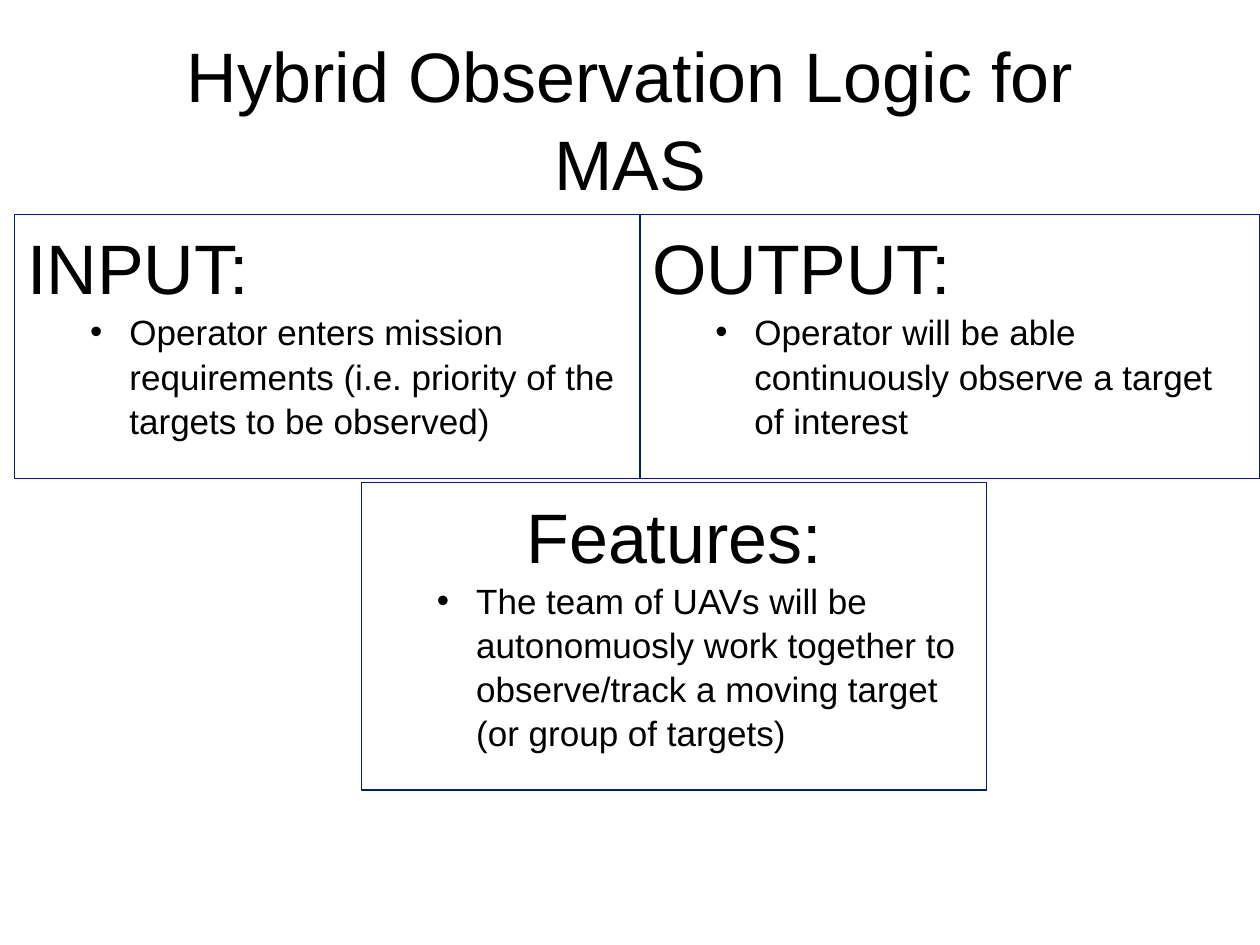
from dataclasses import dataclass

from pptx import Presentation
from pptx.dml.color import RGBColor
from pptx.enum.shapes import MSO_SHAPE as Shape
from pptx.enum.text import MSO_ANCHOR as Anchor, PP_ALIGN as Align
from pptx.oxml.ns import qn
from pptx.util import Cm, Pt
from lxml.etree import SubElement


@dataclass(frozen=True)
class Theme:
    font: str = "Arial"
    ink: RGBColor = RGBColor(0, 0, 0)
    paper: RGBColor = RGBColor(255, 255, 255)
    border: RGBColor = RGBColor(0x00, 0x20, 0x60)
    border_width: float = 0.75
    heading_size: int = 40
    body_size: int = 20
    line_spacing: float = 1.05


THEME = Theme()
LEFT_EDGE, MIDDLE, RIGHT_EDGE = 0.3, 12.9, 25.4
TOP_ROW, TOP_HEIGHT = 4.32, 5.33
PANELS = [
    ("INPUT:",
     "Operator enters mission requirements (i.e. priority of the targets to be observed)",
     Align.LEFT, (LEFT_EDGE, TOP_ROW, MIDDLE - LEFT_EDGE, TOP_HEIGHT)),
    ("OUTPUT:",
     "Operator will be able continuously observe a target of interest",
     Align.LEFT, (MIDDLE, TOP_ROW, RIGHT_EDGE - MIDDLE, TOP_HEIGHT)),
    ("Features:",
     "The team of UAVs will be autonomuosly work together to observe/track a moving target "
     "(or group of targets)",
     Align.CENTER, (7.29, 9.73, MIDDLE - LEFT_EDGE, 6.2)),
]


def place(shape, box):
    shape.left, shape.top, shape.width, shape.height = (Cm(length) for length in box)


def set_frame(frame, anchor):
    frame.word_wrap = True
    frame.vertical_anchor = anchor
    frame.margin_left = frame.margin_right = Cm(0.25)
    frame.margin_top = frame.margin_bottom = Cm(0.13)


def format_para(para, size, align):
    para.alignment = align
    para.line_spacing = THEME.line_spacing
    para.space_before = para.space_after = Pt(0)
    for span in para.runs:
        span.font.name = THEME.font
        span.font.size = Pt(size)
        span.font.color.rgb = THEME.ink


def set_indent(para, left, hanging):
    properties = para._p.get_or_add_pPr()
    properties.set("marL", str(Cm(left)))
    properties.set("indent", str(-Cm(hanging)))
    return properties


def add_bullet(para):
    para.level = 1
    properties = set_indent(para, 2.06, 0.79)
    SubElement(properties, qn("a:buFont"), typeface=THEME.font)
    SubElement(properties, qn("a:buChar"), char="•")


def fill_title(title, text, box):
    place(title, box)
    set_frame(title.text_frame, Anchor.MIDDLE)
    title.text_frame.text = text
    format_para(title.text_frame.paragraphs[0], THEME.heading_size, Align.CENTER)


def add_panel(page, heading, detail, align, box):
    panel = page.shapes.add_shape(Shape.RECTANGLE, *(Cm(length) for length in box))
    panel.shadow.inherit = False
    panel.fill.solid()
    panel.fill.fore_color.rgb = THEME.paper
    panel.line.color.rgb = THEME.border
    panel.line.width = Pt(THEME.border_width)

    frame = panel.text_frame
    set_frame(frame, Anchor.TOP)
    frame.text = f"{heading}\n{detail}"
    heading_para, detail_para = frame.paragraphs
    format_para(heading_para, THEME.heading_size, align)
    heading_para.space_before = Pt(2)
    set_indent(heading_para, 0.79, 0.79)
    format_para(detail_para, THEME.body_size, Align.LEFT)
    add_bullet(detail_para)


def main():
    deck = Presentation()
    deck.slide_width, deck.slide_height = Cm(25.4), Cm(19.05)
    page = deck.slides.add_slide(deck.slide_layouts.get_by_name("Title Only"))
    fill_title(page.shapes.title, "Hybrid Observation Logic for\vMAS",
               (1.27, 0.76, 22.86, 3.18))
    for panel in PANELS:
        add_panel(page, *panel)
    deck.save("out.pptx")


if __name__ == "__main__":
    main()
